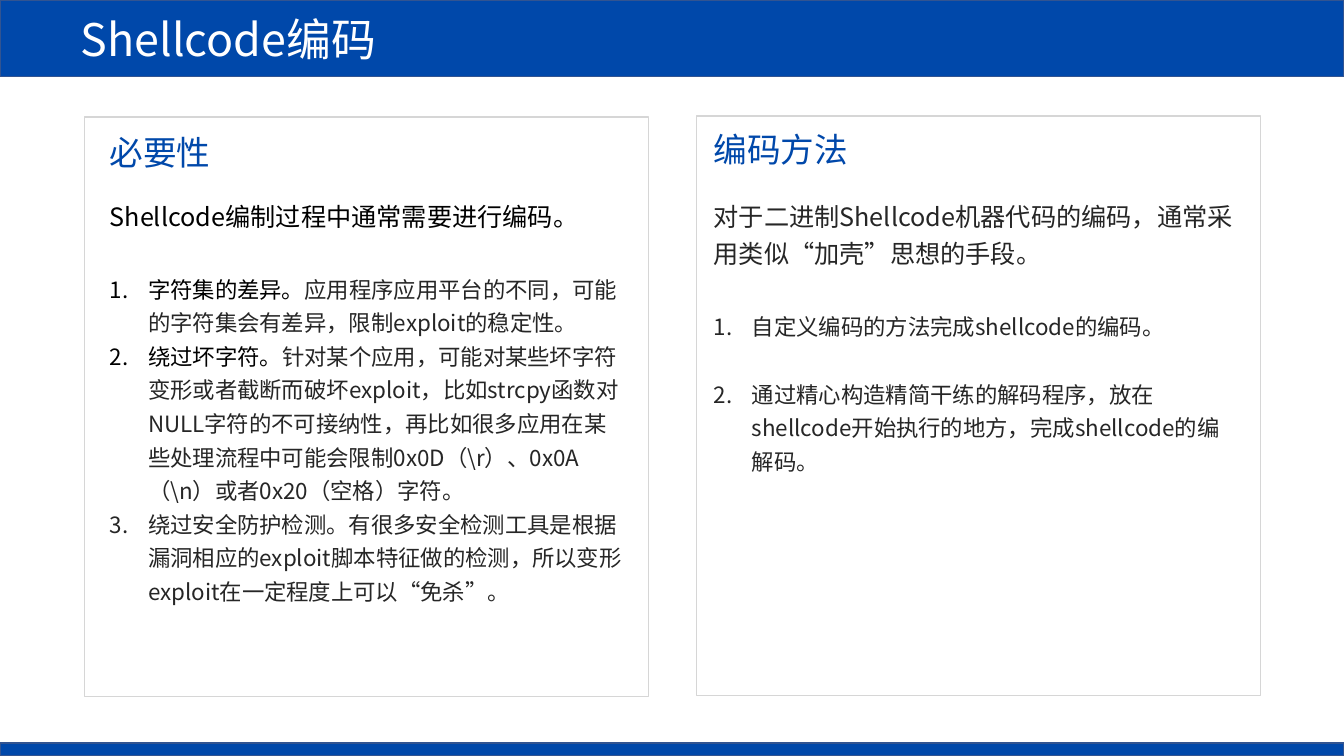
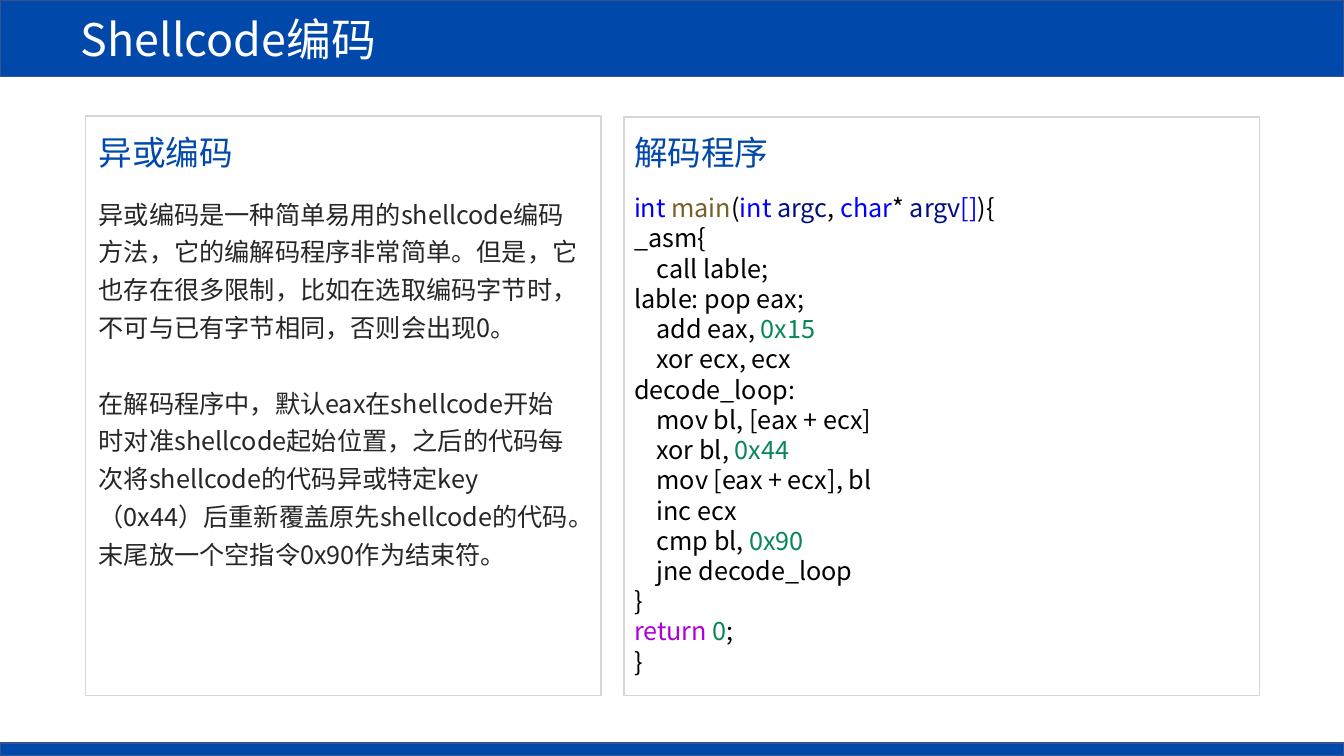
from dataclasses import dataclass

from lxml import etree
from pptx import Presentation
from pptx.dml.color import RGBColor
from pptx.enum import lang, shapes, text
from pptx.oxml import ns
from pptx.util import Inches, Pt


@dataclass(frozen=True)
class Theme:
    font: str = "Noto Sans CJK SC"
    blue: str = "0048AA"
    band_line: str = "325491"
    panel_line: str = "D6D6D6"
    white: str = "FFFFFF"
    black: str = "000000"
    body: str = "262626"
    keyword: str = "0000FF"
    function: str = "795E26"
    variable: str = "001080"
    number: str = "098658"
    control: str = "AF00DB"
    title_size: int = 32
    heading_size: int = 24
    body_size: int = 18
    item_size: int = 16
    line_spacing: float = 1.25
    body_gap: int = 27
    item_gap: int = 24


THEME = Theme()
WIDTH, HEIGHT = 13.33, 7.5
TITLE = "Shellcode编码"

# Code lines: plain strings, or lists of (text, colour) spans
CODE = [
    [("int ", THEME.keyword), ("main", THEME.function), ("(", THEME.black),
     ("int ", THEME.keyword), ("argc", THEME.variable), (", ", THEME.black),
     ("char", THEME.keyword), ("* ", THEME.black), ("argv", THEME.variable),
     ("[]", THEME.keyword), ("){", THEME.black)],
    "_asm{",
    "    call lable;",
    "lable: pop eax;",
    [("    add eax, ", THEME.black), ("0x15", THEME.number)],
    "    xor ecx, ecx",
    "decode_loop:",
    "    mov bl, [eax + ecx]",
    [("    xor bl, ", THEME.black), ("0x44", THEME.number)],
    "    mov [eax + ecx], bl",
    "    inc ecx",
    [("    cmp bl, ", THEME.black), ("0x90", THEME.number)],
    "    jne decode_loop",
    "}",
    [("return ", THEME.control), ("0", THEME.number), (";", THEME.black)],
    "}",
]


def rgb(value):
    return RGBColor.from_string(value)


def paint(shape, line, fill=None):
    """Give a shape its outline and, if named, its fill."""
    if fill:
        shape.fill.solid()
        shape.fill.fore_color.rgb = rgb(fill)
    else:
        shape.fill.background()
    shape.line.color.rgb = rgb(line)
    shape.line.width = Pt(1)


def add_rect(page, left, top, width, height, line, fill=None):
    rect = page.shapes.add_shape(
        shapes.MSO_SHAPE.RECTANGLE,
        Inches(left), Inches(top), Inches(width), Inches(height))
    rect.shadow.inherit = False
    paint(rect, line, fill)


def add_span(para, words, size, color):
    span = para.add_run()
    span.text = words
    font = span.font
    font.name = THEME.font
    font.size = Pt(size)
    font.color.rgb = rgb(color)
    font.language_id = lang.MSO_LANGUAGE_ID.SIMPLIFIED_CHINESE
    east_asian = etree.SubElement(span._r.get_or_add_rPr(), ns.qn("a:ea"))
    east_asian.set("typeface", THEME.font)


def number_para(para):
    """Turn a paragraph into an automatically numbered item."""
    props = para._p.get_or_add_pPr()
    props.set("marL", str(Inches(0.38)))
    props.set("indent", str(-Inches(0.38)))
    etree.SubElement(props, ns.qn("a:buAutoNum")).set("type", "arabicPeriod")


def add_para(frame, content, size=THEME.body_size, color=THEME.body,
             spacing=THEME.line_spacing, before=0, numbered=False):
    """Add a paragraph; content is a string or a list of (text, colour)."""
    first = frame.paragraphs[0]
    para = frame.add_paragraph() if first.runs else first
    if numbered:
        number_para(para)
    para.line_spacing = spacing
    para.space_before = Pt(before)
    spans = [(content, color)] if isinstance(content, str) else content
    for words, span_color in spans:
        add_span(para, words, size, span_color)


def add_item(frame, content, before=0):
    add_para(frame, content, size=THEME.item_size, before=before, numbered=True)


def add_text_box(page, left, top, width, height):
    box = page.shapes.add_textbox(
        Inches(left), Inches(top), Inches(width), Inches(height))
    box.text_frame.word_wrap = True
    return box.text_frame


def add_panel(page, frame_at, heading, heading_top, text_at):
    """Draw an outlined panel with its heading; return the body text frame."""
    add_rect(page, *frame_at, line=THEME.panel_line)
    left, _, width, _ = text_at
    add_para(add_text_box(page, left, heading_top, width, 0.5), heading,
             size=THEME.heading_size, color=THEME.blue, spacing=1.0)
    return add_text_box(page, *text_at)


def add_page(deck):
    """Add a page with the title band and the footer band."""
    page = deck.slides.add_slide(deck.slide_layouts[5])
    title = page.shapes.title
    title.left = title.top = 0
    title.width, title.height = Inches(WIDTH), Inches(0.76)
    paint(title, THEME.band_line, THEME.blue)
    frame = title.text_frame
    frame.auto_size = text.MSO_AUTO_SIZE.NONE
    frame.vertical_anchor = text.MSO_ANCHOR.MIDDLE
    frame.margin_left = Inches(0.8)
    add_para(frame, TITLE, size=THEME.title_size, color=THEME.white, spacing=1.0)
    frame.paragraphs[0].alignment = text.PP_ALIGN.LEFT
    add_rect(page, 0, 7.37, WIDTH, 0.13, THEME.band_line, THEME.blue)
    return page


def build_reasons_page(deck):
    page = add_page(deck)

    # Why encoding is needed
    need = add_panel(page, (0.84, 1.16, 5.59, 5.75), "必要性", 1.26,
                     (0.99, 1.87, 5.28, 4.19))
    add_para(need, "Shellcode编制过程中通常需要进行编码。", color=THEME.black)
    add_item(need, [
        ("字符集的差异。", THEME.black),
        ("应用程序应用平台的不同，可能的字符集会有差异，限制exploit的稳定性。",
         THEME.body)], before=THEME.body_gap)
    add_item(need, [
        ("绕过坏字符。", THEME.black),
        ("针对某个应用，可能对某些坏字符变形或者截断而破坏exploit，"
         "比如strcpy函数对NULL字符的不可接纳性，再比如很多应用在某些处理流程中"
         "可能会限制0x0D（\\r）、0x0A（\\n）或者0x20（空格）字符。", THEME.body)])
    add_item(need, "绕过安全防护检测。有很多安全检测工具是根据漏洞相应的exploit"
                   "脚本特征做的检测，所以变形exploit在一定程度上可以“免杀”。")

    # How to encode
    method = add_panel(page, (6.91, 1.15, 5.59, 5.75), "编码方法", 1.23,
                       (6.98, 1.87, 5.43, 2.89))
    add_para(method, "对于二进制Shellcode机器代码的编码，"
                     "通常采用类似“加壳”思想的手段。")
    add_item(method, "自定义编码的方法完成shellcode的编码。",
             before=THEME.body_gap)
    add_item(method, "通过精心构造精简干练的解码程序，放在shellcode开始执行的地方，"
                     "完成shellcode的编解码。", before=THEME.item_gap)


def build_xor_page(deck):
    page = add_page(deck)

    # XOR encoding explained
    xor = add_panel(page, (0.85, 1.15, 5.11, 5.75), "异或编码", 1.26,
                    (0.88, 1.85, 4.96, 4.61))
    add_para(xor, "异或编码是一种简单易用的shellcode编码方法，它的编解码程序非常简单。"
                  "但是，它也存在很多限制，比如在选取编码字节时，"
                  "不可与已有字节相同，否则会出现0。")
    add_para(xor, "在解码程序中，默认eax在shellcode开始时对准shellcode起始位置，"
                  "之后的代码每次将shellcode的代码异或特定key（0x44）后"
                  "重新覆盖原先shellcode的代码。末尾放一个空指令0x90作为结束符。",
             before=THEME.body_gap)

    # Decoder listing
    listing = add_panel(page, (6.19, 1.16, 6.3, 5.74), "解码程序", 1.26,
                        (6.19, 1.86, 6.43, 4.95))
    for line in CODE:
        add_para(listing, line, color=THEME.black, spacing=1.0)


def main():
    deck = Presentation()
    deck.slide_width, deck.slide_height = Inches(WIDTH), Inches(HEIGHT)
    build_reasons_page(deck)
    build_xor_page(deck)
    deck.save("out.pptx")


if __name__ == "__main__":
    main()
